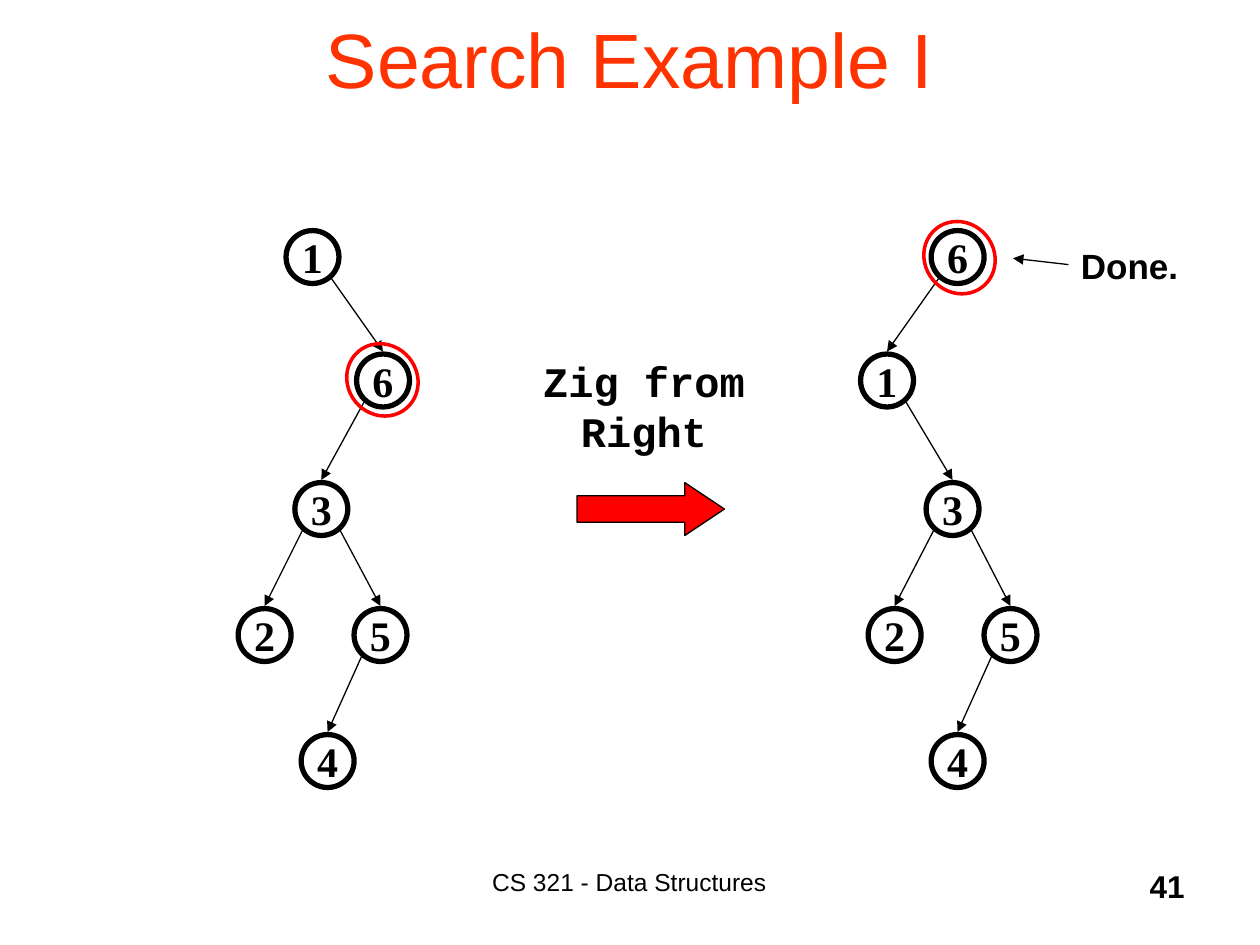
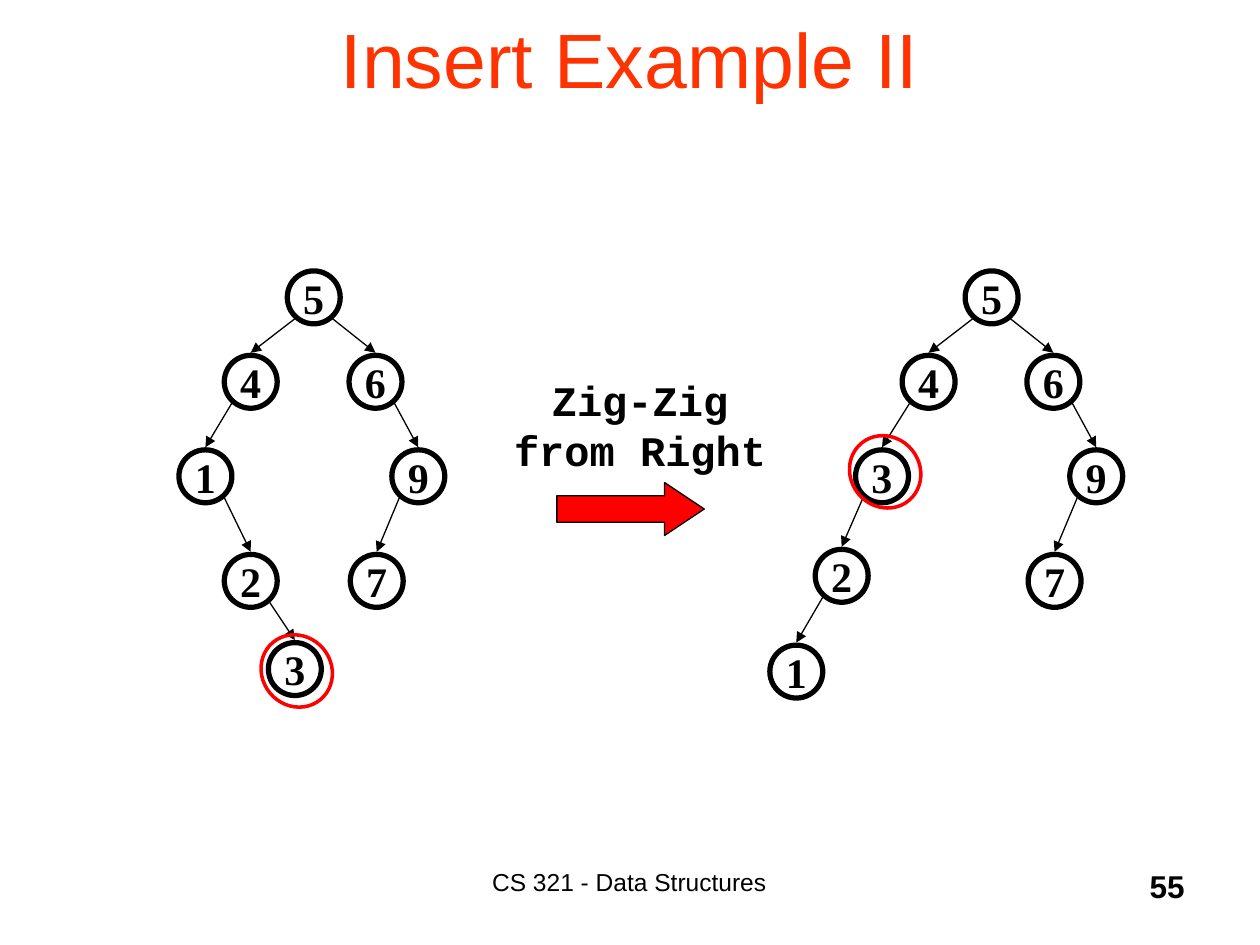
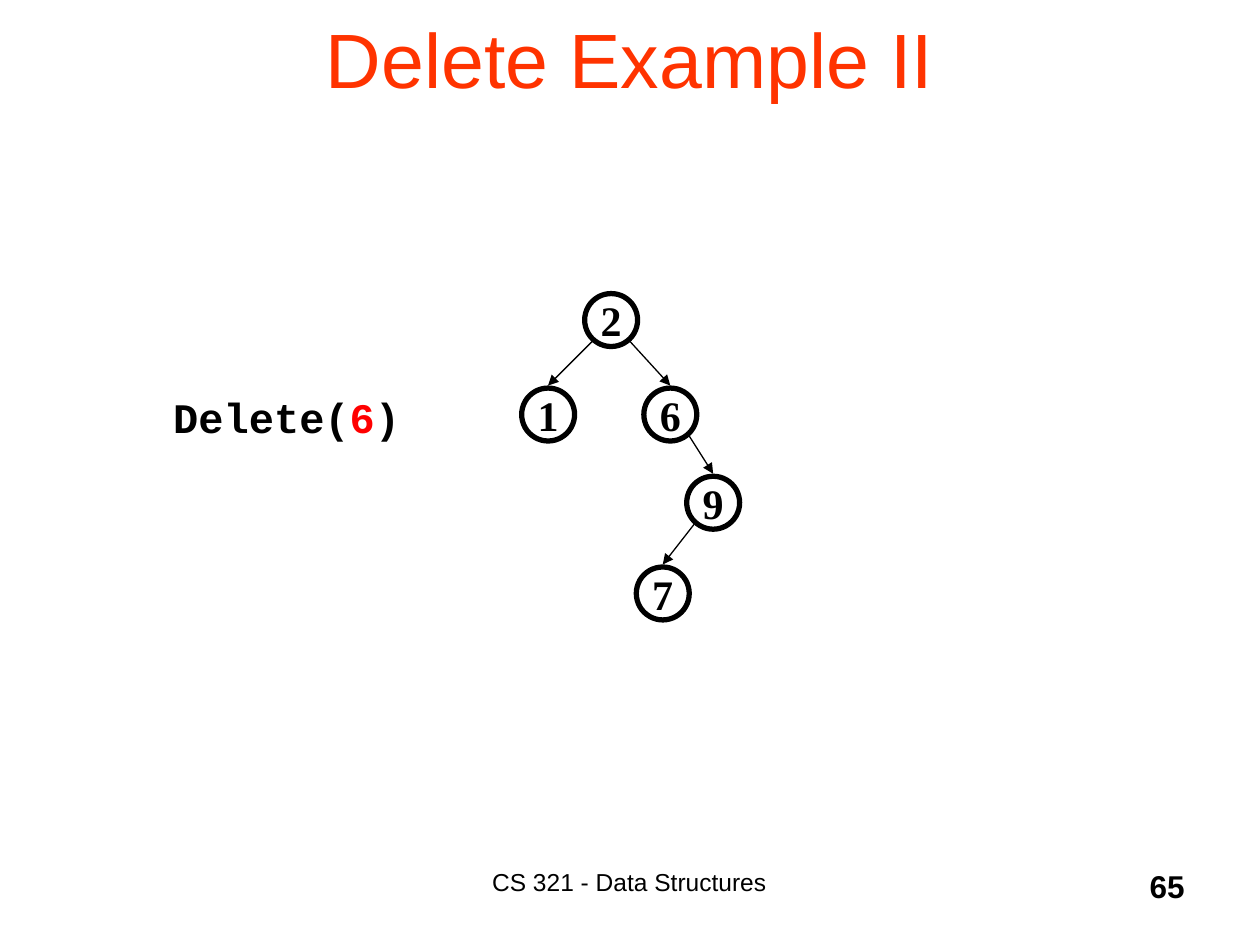
import dataclasses

import lxml.etree
import pptx
import pptx.dml.color
import pptx.enum.shapes
import pptx.enum.text
import pptx.oxml.ns
import pptx.util

Inches = pptx.util.Inches
Shape = pptx.enum.shapes.MSO_SHAPE
Align = pptx.enum.text.PP_ALIGN
Anchor = pptx.enum.text.MSO_ANCHOR


@dataclasses.dataclass(frozen=True)
class Theme:
    title_color: str = "FF3300"
    accent: str = "FF0000"
    ink: str = "000000"
    sans: str = "Arial"
    mono: str = "Courier New"
    serif: str = "Times New Roman"
    title_size: int = 44
    label_size: int = 24
    note_size: int = 20
    number_size: int = 18
    footer_size: int = 14
    node_line: float = 3
    ring_line: float = 2
    thin_line: float = 0.75


theme = Theme()

NODE = 0.42               # node diameter
RING = (0.55, 0.59)       # highlight ring, turned by RING_TURN degrees
RING_TURN = 320.5
BLOCK_ARROW = (1.17, 0.42)
EDGE_START = (0.15, 0.17)  # from a parent's centre to where its edge starts
EDGE_GAP = 0.02           # between an arrowhead and the child below it

# Each tree maps a value to (left, top, parent)
slides = [
    {
        "title": "Search Example I",
        "number": "41",
        "trees": [
            {1: (2.27, 1.83, None), 6: (2.83, 2.81, 1), 3: (2.34, 3.83, 6),
             2: (1.89, 4.83, 3), 5: (2.81, 4.83, 3), 4: (2.39, 5.83, 5)},
            {6: (7.39, 1.83, None), 1: (6.83, 2.81, 6), 3: (7.35, 3.83, 1),
             2: (6.89, 4.83, 3), 5: (7.81, 4.83, 3), 4: (7.39, 5.83, 5)},
        ],
        "rings": [(2.76, 2.72), (7.34, 1.75)],
        "block_arrows": [(4.58, 3.83)],
        "label": ([("Zig from Right", theme.ink)], (4.17, 2.77, 1.88, 0.91)),
        "done": True,
    },
    {
        "title": "Insert Example II",
        "number": "55",
        "trees": [
            {5: (2.28, 2.15, None), 4: (1.78, 2.82, 5), 6: (2.77, 2.82, 5),
             1: (1.42, 3.57, 4), 9: (3.11, 3.57, 6), 2: (1.78, 4.4, 1),
             7: (2.78, 4.4, 9), 3: (2.13, 5.1, 2)},
            {5: (7.66, 2.15, None), 4: (7.16, 2.82, 5), 6: (8.15, 2.82, 5),
             3: (6.79, 3.57, 4), 9: (8.49, 3.57, 6), 2: (6.47, 4.36, 3),
             7: (8.16, 4.4, 9), 1: (6.11, 5.12, 2)},
        ],
        "rings": [(2.08, 5.03), (6.75, 3.45)],
        "block_arrows": [(4.42, 3.83)],
        "label": ([("Zig-Zig from Right", theme.ink)], (3.88, 2.92, 2.4, 0.91)),
        "done": False,
    },
    {
        "title": "Delete Example II",
        "number": "65",
        "trees": [
            {2: (4.64, 2.33, None), 1: (4.14, 3.08, 2), 6: (5.11, 3.08, 2),
             9: (5.45, 3.78, 6), 7: (5.05, 4.5, 9)},
        ],
        "rings": [],
        "block_arrows": [],
        "label": ([("Delete(", theme.ink), ("6", theme.accent), (")", theme.ink)],
                  (1.25, 3.06, 2.05, 0.5)),
        "done": False,
    },
]


def write_text(box, spans, *, size, font=theme.sans, bold=False,
               align=Align.CENTER, anchor=Anchor.TOP, wrap=True):
    """Write (text, colour) spans as one paragraph in a box."""
    frame = box.text_frame
    frame.word_wrap = wrap
    frame.vertical_anchor = anchor
    para = frame.paragraphs[0]
    para.alignment = align
    for text, color in spans:
        span = para.add_run()
        span.text = text
        span.font.name = font
        span.font.size = pptx.util.Pt(size)
        span.font.bold = bold
        span.font.color.rgb = pptx.dml.color.RGBColor.from_string(color)


def draw_arrow(page, *ends):
    """Draw a thin arrow through start x, start y, end x, end y."""
    arrow = page.shapes.add_connector(
        pptx.enum.shapes.MSO_CONNECTOR.STRAIGHT, *map(Inches, ends))
    arrow.line.color.rgb = pptx.dml.color.RGBColor.from_string(theme.ink)
    arrow.line.width = pptx.util.Pt(theme.thin_line)
    line = arrow.line._get_or_add_ln()
    lxml.etree.SubElement(line, pptx.oxml.ns.qn("a:tailEnd"), type="triangle")
    lxml.etree.SubElement(arrow._element.spPr, pptx.oxml.ns.qn("a:effectLst"))


deck = pptx.Presentation()
deck.slide_width = Inches(10)
deck.slide_height = Inches(7.5)

for content in slides:
    page = deck.slides.add_slide(deck.slide_layouts[6])
    outlines = []  # preset, place, line colour, line width, fill, turn, value

    # Tree edges, and the nodes to outline
    for tree in content["trees"]:
        for value, (left, top, parent) in tree.items():
            if parent is not None:
                parent_left, parent_top, _ = tree[parent]
                side = 1 if left > parent_left else -1
                draw_arrow(page,
                           parent_left + NODE / 2 + side * EDGE_START[0],
                           parent_top + NODE / 2 + EDGE_START[1],
                           left + NODE / 2, top - EDGE_GAP)
            outlines.append((Shape.OVAL, (left, top, NODE, NODE), theme.ink,
                             theme.node_line, None, 0, str(value)))

    # Highlight rings and block arrows
    for corner in content["rings"]:
        outlines.append((Shape.OVAL, corner + RING, theme.accent,
                         theme.ring_line, None, RING_TURN, ""))
    for corner in content["block_arrows"]:
        outlines.append((Shape.RIGHT_ARROW, corner + BLOCK_ARROW, theme.ink,
                         theme.thin_line, theme.accent, 0, ""))

    for preset, place, color, width, fill, turn, value in outlines:
        shape = page.shapes.add_shape(preset, *map(Inches, place))
        shape.shadow.inherit = False
        shape.rotation = turn
        shape.line.color.rgb = pptx.dml.color.RGBColor.from_string(color)
        shape.line.width = pptx.util.Pt(width)
        if fill:
            shape.fill.solid()
            shape.fill.fore_color.rgb = pptx.dml.color.RGBColor.from_string(fill)
        else:
            shape.fill.background()
        if preset == Shape.RIGHT_ARROW:
            shape.adjustments[1] = 0.75
        if value:
            write_text(shape, [(value, theme.ink)], size=theme.label_size,
                       font=theme.serif, bold=True, anchor=Anchor.MIDDLE, wrap=False)

    # Title, step label, footer and page number
    label, label_place = content["label"]
    texts = [
        ([(content["title"], theme.title_color)], (0.75, -0.17, 8.5, 1.25),
         {"size": theme.title_size, "anchor": Anchor.MIDDLE}),
        (label, label_place,
         {"size": theme.label_size, "font": theme.mono, "bold": True}),
        ([("CS 321 - Data Structures", theme.ink)], (3.08, 6.83, 3.83, 0.5),
         {"size": theme.footer_size}),
        ([(content["number"], theme.ink)], (7.42, 6.83, 2.08, 0.5),
         {"size": theme.number_size, "bold": True, "align": Align.RIGHT}),
    ]

    # Closing note beside the root
    if content["done"]:
        texts.append(([("Done.", theme.ink)], (8.48, 1.89, 1, 0.44),
                      {"size": theme.note_size, "bold": True, "align": Align.LEFT}))
        draw_arrow(page, 8.48, 2.1, 8.04, 2.05)

    for spans, place, style in texts:
        box = page.shapes.add_textbox(*map(Inches, place))
        write_text(box, spans, **style)

deck.save("out.pptx")
